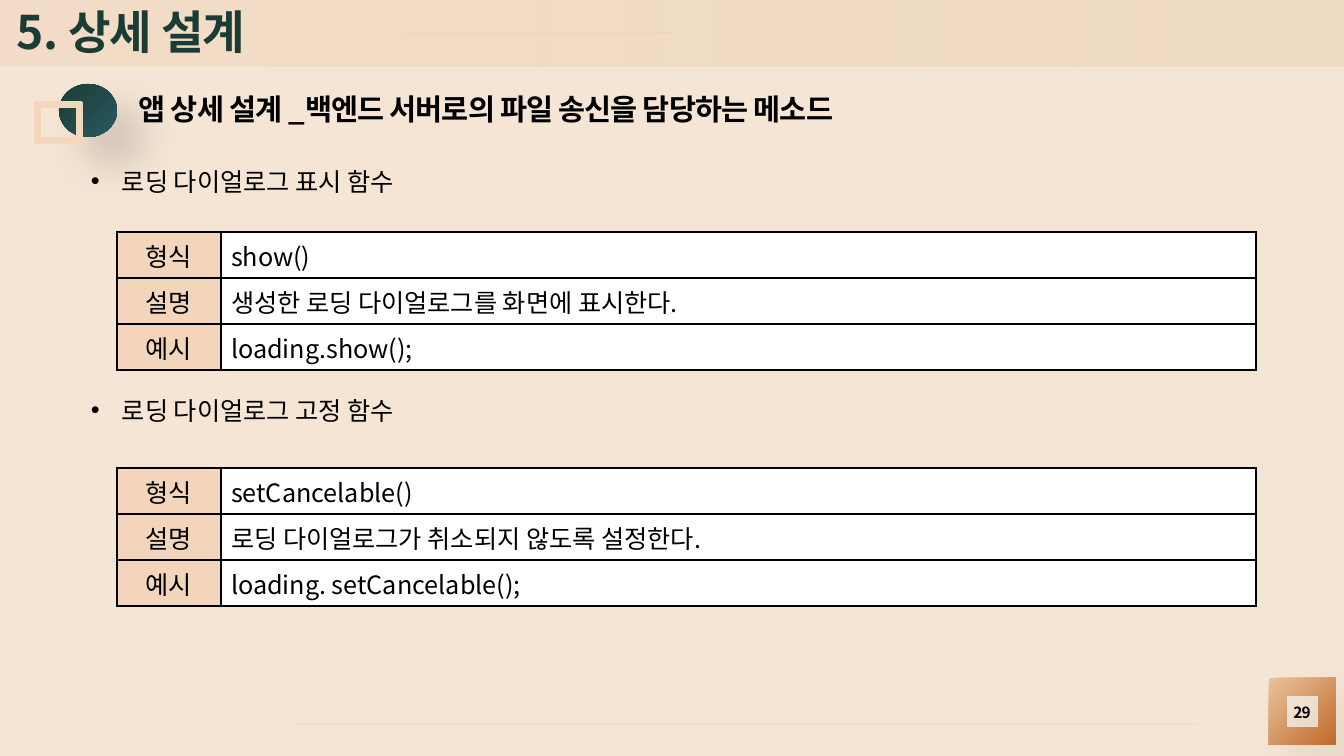
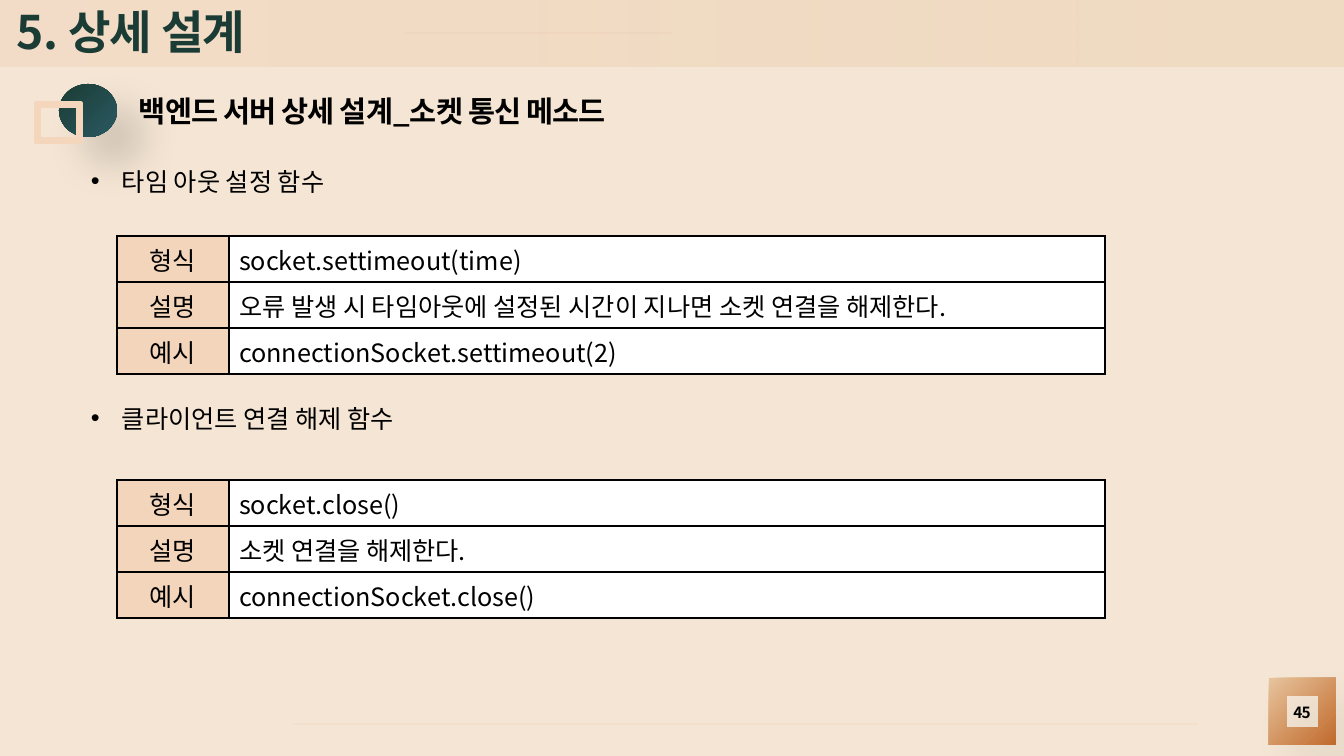
from pptx import Presentation
from pptx.dml.color import RGBColor
from pptx.enum.shapes import MSO_CONNECTOR, MSO_SHAPE
from pptx.enum.text import MSO_ANCHOR, PP_ALIGN
from pptx.oxml import parse_xml
from pptx.oxml.ns import nsdecls
from pptx.util import Emu, Pt

FRAME, OVAL = MSO_SHAPE.FRAME, MSO_SHAPE.OVAL
LEFT, CENTER = PP_ALIGN.LEFT, PP_ALIGN.CENTER
MIDDLE, TOP = MSO_ANCHOR.MIDDLE, MSO_ANCHOR.TOP

SLIDE_W, SLIDE_H = 1344, 756
SCALE = 12192000 / SLIDE_W
FONT = "Noto Sans CJK KR"
COLORS = {
    "background": "F4E5D4", "sand": "E7C49D", "peach": "F3D5BB",
    "copper": "C16A2C", "rule": "E3AB83", "title": "1B3C35",
    "teal": "1B3C33", "blue": "2A5963", "square": "E4C2A9",
    "square_edge": "F3D6BC", "text": "000000", "white": "FFFFFF",
}

TITLE = "5. 상세 설계"
ROW_LABELS = ("형식", "설명", "예시")
BULLET_LEFT, BULLET_TOP, TABLE_LEFT = 81, 161, 117
ROW_H = 46
SLIDES = [
    {
        "page": "29",
        "heading": "앱 상세 설계 _백엔드 서버로의 파일 송신을 담당하는 메소드",
        "heading_top": 90, "table_w": 1139, "label_w": 104,
        "functions": [
            {"name": "로딩 다이얼로그 표시 함수", "top": BULLET_TOP, "table_top": 232,
             "values": ("show()", "생성한 로딩 다이얼로그를 화면에 표시한다.",
                        "loading.show();")},
            {"name": "로딩 다이얼로그 고정 함수", "top": 390, "table_top": 468,
             "values": ("setCancelable()", "로딩 다이얼로그가 취소되지 않도록 설정한다.",
                        "loading. setCancelable();")},
        ],
    },
    {
        "page": "45",
        "heading": "백엔드 서버 상세 설계_소켓 통신 메소드",
        "heading_top": 92, "table_w": 988, "label_w": 112,
        "functions": [
            {"name": "타임 아웃 설정 함수", "top": BULLET_TOP, "table_top": 236,
             "values": ("socket.settimeout(time)",
                        "오류 발생 시 타임아웃에 설정된 시간이 지나면 소켓 연결을 해제한다.",
                        "connectionSocket.settimeout(2)")},
            {"name": "클라이언트 연결 해제 함수", "top": 398, "table_top": 480,
             "values": ("socket.close()", "소켓 연결을 해제한다.",
                        "connectionSocket.close()")},
        ],
    },
]


def px(length):
    return Emu(round(length * SCALE))


def box(*lengths):
    return [px(length) for length in lengths]


def color(name):
    return RGBColor.from_string(COLORS[name])


def xml(tag, attributes="", inner=""):
    return parse_xml(f"<a:{tag} {nsdecls('a')} {attributes}>{inner}</a:{tag}>")


def set_alpha(color_element, percent):
    color_element.append(xml("alpha", f'val="{percent * 1000}"'))


def style_paragraph(paragraph, text, size, name="text", bold=False,
                    align=LEFT, tight=False):
    paragraph.text = text
    paragraph.alignment = align
    font = paragraph.font
    font.size, font.bold, font.name = Pt(size), bold, FONT
    font.color.rgb = color(name)
    properties = paragraph._p.pPr.defRPr
    properties.append(xml("ea", f'typeface="{FONT}"'))
    if tight:
        properties.set("spc", "-60")


def add_text(slide, place, text, size, **style):
    frame = slide.shapes.add_textbox(*box(*place)).text_frame
    frame.word_wrap = True
    frame.vertical_anchor = MIDDLE
    frame.margin_left = frame.margin_right = 0
    frame.margin_top = frame.margin_bottom = 0
    style_paragraph(frame.paragraphs[0], text, size, tight=True, bold=True, **style)


def add_bullet(slide, top, text):
    frame = slide.shapes.add_textbox(*box(BULLET_LEFT, top, 518, 40)).text_frame
    frame.word_wrap = True
    frame.vertical_anchor = TOP
    paragraph = frame.paragraphs[0]
    properties = paragraph._p.get_or_add_pPr()
    properties.set("marL", str(px(31)))
    properties.set("indent", str(-px(31)))
    properties.append(xml("buFont", 'typeface="Arial"'))
    properties.append(xml("buChar", 'char="•"'))
    style_paragraph(paragraph, text, 18)


def add_ornament(slide, kind, place, adjust=None):
    shape = slide.shapes.add_shape(kind, *box(*place))
    shape.shadow.inherit = False
    shape.line.fill.background()
    if adjust is not None:
        shape.adjustments[0] = adjust
    return shape


def fill_gradient(shape, names, angle, alphas=()):
    """Fill with a linear gradient; angle runs clockwise in degrees."""
    shape.fill.gradient()
    shape.fill.gradient_angle = 360 - angle
    for stop, name in zip(shape.fill.gradient_stops, names):
        stop.color.rgb = color(name)
    for element, alpha in zip(shape.element.spPr.xpath(".//a:gs/a:srgbClr"), alphas):
        set_alpha(element, alpha)


def cast_shadow(shape, alpha):
    shape.element.spPr.xpath("./a:effectLst")[0].append(xml(
        "outerShdw",
        f'blurRad="{Pt(30)}" dist="{Pt(26)}" dir="2700000" algn="tl" rotWithShape="0"',
        f'<a:srgbClr val="{COLORS["text"]}"><a:alpha val="{alpha * 1000}"/></a:srgbClr>'))


def add_rule(slide, left, right, y):
    rule = slide.shapes.add_connector(MSO_CONNECTOR.STRAIGHT, *box(left, y, right, y))
    rule.line.color.rgb = color("rule")
    rule.line.width = Pt(0.5)
    properties = rule._element.spPr
    set_alpha(properties.xpath("./a:ln//a:srgbClr")[0], 24)
    properties.append(xml("effectLst"))


def add_borders(cell):
    properties = cell._tc.get_or_add_tcPr()
    for position, side in enumerate("LRTB"):
        properties.insert(position, xml(
            f"ln{side}", f'w="{Pt(1)}"',
            f'<a:solidFill><a:srgbClr val="{COLORS["text"]}"/></a:solidFill>'))


def add_function_table(slide, top, width, label_w, values):
    table = slide.shapes.add_table(
        len(values), 2, *box(TABLE_LEFT, top, width, ROW_H * len(values))).table
    table.first_row = table.horz_banding = False
    table.columns[0].width = px(label_w)
    table.columns[1].width = px(width - label_w)
    for row, texts in enumerate(zip(ROW_LABELS, values)):
        table.rows[row].height = px(ROW_H)
        for column, (text, fill, align) in enumerate(
                zip(texts, ("peach", "white"), (CENTER, LEFT))):
            cell = table.cell(row, column)
            cell.fill.solid()
            cell.fill.fore_color.rgb = color(fill)
            add_borders(cell)
            style_paragraph(cell.text_frame.paragraphs[0], text, 18, align=align)


def add_base(slide, page):
    """Draw the background, title band, footer and heading mark."""
    slide.background.fill.solid()
    slide.background.fill.fore_color.rgb = color("background")

    band = add_ornament(slide, FRAME, (0, 0, SLIDE_W, 67), 0.5)
    fill_gradient(band, ("sand", "peach"), 180, (31, 50))
    add_rule(slide, 404, 672, 33)

    page_frame = add_ornament(slide, FRAME, (1269, 678, 67, 67), 0.265)
    fill_gradient(page_frame, ("sand", "copper"), 45)
    cast_shadow(page_frame, 8)
    add_rule(slide, 293, 1198, 724)

    add_text(slide, (17, 0, 861, 62), TITLE, 33, name="title")
    add_text(slide, (1270, 701, 64, 22), page, 11, align=CENTER)

    disc = add_ornament(slide, OVAL, (59, 84, 58, 53))
    fill_gradient(disc, ("teal", "blue"), 45)
    cast_shadow(disc, 17)
    square = add_ornament(slide, FRAME, (36, 103, 45, 39), 0.078)
    square.fill.solid()
    square.fill.fore_color.rgb = color("square")
    square.line.color.rgb = color("square_edge")
    square.line.width = Pt(2.25)


def main():
    deck = Presentation()
    deck.slide_width, deck.slide_height = box(SLIDE_W, SLIDE_H)
    for content in SLIDES:
        slide = deck.slides.add_slide(deck.slide_layouts[6])
        add_base(slide, content["page"])
        add_text(slide, (139, content["heading_top"], 771, 37), content["heading"], 21)
        for function in content["functions"]:
            add_bullet(slide, function["top"], function["name"])
            add_function_table(slide, function["table_top"], content["table_w"],
                               content["label_w"], function["values"])
    deck.save("out.pptx")


if __name__ == "__main__":
    main()
